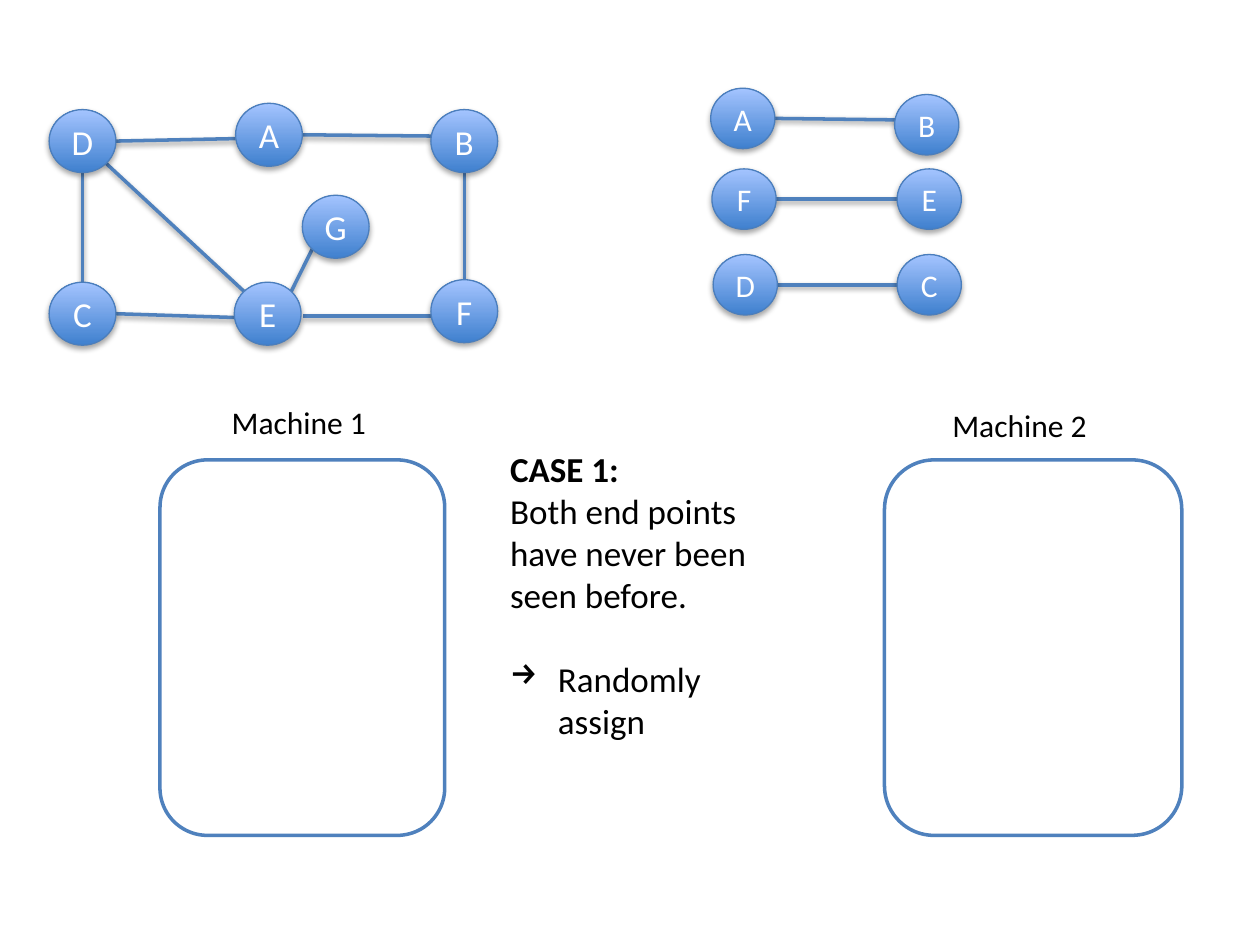
from lxml import etree
from pptx import Presentation
from pptx.dml.color import RGBColor
from pptx.enum import shapes, text
from pptx.oxml import ns
from pptx.util import Inches, Pt

WHITE = RGBColor(0xFF, 0xFF, 0xFF)
BLACK = RGBColor(0, 0, 0)
BLUE = RGBColor(0x4F, 0x81, 0xBD)
NODE_LINE = RGBColor(0x4B, 0x7E, 0xBC)
NODE_DARK = RGBColor(0x3F, 0x80, 0xCE)
NODE_LIGHT = RGBColor(0xA4, 0xC4, 0xFF)
FONT = "Calibri"

TOP, BOTTOM, LEFT, RIGHT = (0.5, 0), (0.5, 1), (0, 0.5), (1, 0.5)
TOP_LEFT, TOP_RIGHT = (0.15, 0.15), (0.85, 0.15)
BOTTOM_LEFT, BOTTOM_RIGHT = (0.15, 0.85), (0.85, 0.85)
LEFT_UPPER, LEFT_LOWER, RIGHT_LOWER = (0.06, 0.42), (0.02, 0.58), (1.03, 0.54)

GRAPH_NODES = {
    "A": (1.48, 0), "B": (3.03, 0.05), "F": (3.03, 1.4), "C": (0, 1.42),
    "D": (0, 0.05), "E": (1.47, 1.42), "G": (2.01, 0.73),
}
GRAPH_EDGES = [
    ("A", RIGHT, "B", LEFT_UPPER), ("B", BOTTOM, "F", TOP),
    ("D", RIGHT, "A", (0, 0.56)), ("F", LEFT_LOWER, "E", RIGHT_LOWER),
    ("D", BOTTOM, "C", TOP), ("D", BOTTOM_RIGHT, "E", TOP_LEFT),
    ("C", RIGHT, "E", (0, 0.56)), ("G", BOTTOM_LEFT, "E", TOP_RIGHT),
]
PAIRS = [
    (5.64, 0.7, {"A": (0, 0), "B": (1.46, 0.05)}, LEFT_UPPER),
    (5.65, 1.34, {"F": (0, 0), "E": (1.47, 0)}, LEFT),
    (5.66, 2.02, {"D": (0, 0), "C": (1.46, 0)}, LEFT),
]


def add_shadow(shape, distance, opacity):
    properties = shape._element.spPr
    effects = etree.SubElement(properties, ns.qn("a:effectLst"))
    shadow = etree.SubElement(
        effects, ns.qn("a:outerShdw"), blurRad="40000", dist=str(distance),
        dir="5400000", rotWithShape="0")
    color = etree.SubElement(shadow, ns.qn("a:srgbClr"), val="000000")
    etree.SubElement(color, ns.qn("a:alpha"), val=str(opacity * 1000))


def add_run(paragraph, words, size, color=BLACK, bold=False):
    run = paragraph.add_run()
    run.text = words
    run.font.name = FONT
    run.font.size = Pt(size)
    run.font.bold = bold
    run.font.color.rgb = color


def add_node(group, letter, left, top, width, height, size):
    node = group.shapes.add_shape(
        shapes.MSO_SHAPE.OVAL, Inches(left), Inches(top), Inches(width), Inches(height))
    node.fill.gradient()
    node.fill.gradient_angle = 90
    for stop, color in zip(node.fill.gradient_stops, (NODE_DARK, NODE_LIGHT)):
        stop.color.rgb = color
    node.line.color.rgb = NODE_LINE
    node.line.width = Pt(0.75)
    add_shadow(node, 23000, 35)
    frame = node.text_frame
    frame.margin_left = frame.margin_right = frame.margin_top = frame.margin_bottom = 0
    frame.vertical_anchor = text.MSO_ANCHOR.MIDDLE
    paragraph = frame.paragraphs[0]
    paragraph.alignment = text.PP_ALIGN.CENTER
    add_run(paragraph, letter, size, WHITE)


def add_graph(slide, left, top, nodes, edges, width, height, size):
    group = slide.shapes.add_group_shape()

    def site(letter, fraction):
        x, y = nodes[letter]
        return (Inches(left + x + width * fraction[0]),
                Inches(top + y + height * fraction[1]))

    for start, start_site, end, end_site in edges:
        edge = group.shapes.add_connector(
            shapes.MSO_CONNECTOR.STRAIGHT, *site(start, start_site), *site(end, end_site))
        edge.line.color.rgb = BLUE
        edge.line.width = Pt(2)
        add_shadow(edge, 20000, 38)
    for letter, (x, y) in nodes.items():
        add_node(group, letter, left + x, top + y, width, height, size)


def add_text_box(slide, left, top, width, height):
    box = slide.shapes.add_textbox(
        Inches(left), Inches(top), Inches(width), Inches(height))
    box.text_frame.word_wrap = True
    return box.text_frame


def add_machine(slide, left, top, width, height, label, label_left, label_top):
    machine = slide.shapes.add_shape(
        shapes.MSO_SHAPE.ROUNDED_RECTANGLE,
        Inches(left), Inches(top), Inches(width), Inches(height))
    machine.shadow.inherit = False
    machine.fill.solid()
    machine.fill.fore_color.rgb = WHITE
    machine.line.color.rgb = BLUE
    machine.line.width = Pt(2)
    frame = add_text_box(slide, left + label_left, top + label_top, 1.5, 0.4)
    add_run(frame.paragraphs[0], label, 18)


def add_case(slide, left, top, width, height):
    frame = add_text_box(slide, left, top, width, height)
    add_run(frame.paragraphs[0], "CASE 1:", 20, bold=True)
    add_run(frame.add_paragraph(), "Both end points have never been seen before.", 20)
    action = frame.add_paragraph()
    action.space_before = Pt(24)
    properties = action._p.get_or_add_pPr()
    properties.set("marL", str(Inches(0.38)))
    properties.set("indent", str(-Inches(0.38)))
    etree.SubElement(properties, ns.qn("a:buChar"), char="→")
    add_run(action, "Randomly assign", 20)


def main():
    presentation = Presentation()
    presentation.slide_width, presentation.slide_height = Inches(10), Inches(7.5)
    slide = presentation.slides.add_slide(presentation.slide_layouts[6])
    add_machine(slide, 1.27, 3.65, 2.26, 2.98, "Machine 1", 0.47, -0.5)
    add_machine(slide, 7.02, 3.65, 2.36, 2.98, "Machine 2", 0.44, -0.48)
    for left, top, nodes, end_site in PAIRS:
        start, end = nodes
        add_graph(slide, left, top, nodes, [(start, RIGHT, end, end_site)], 0.51, 0.48, 18)
    add_case(slide, 3.95, 3.5, 2.4, 3.13)
    add_graph(slide, 0.39, 0.82, GRAPH_NODES, GRAPH_EDGES, 0.53, 0.5, 20)
    presentation.save("out.pptx")


if __name__ == "__main__":
    main()
